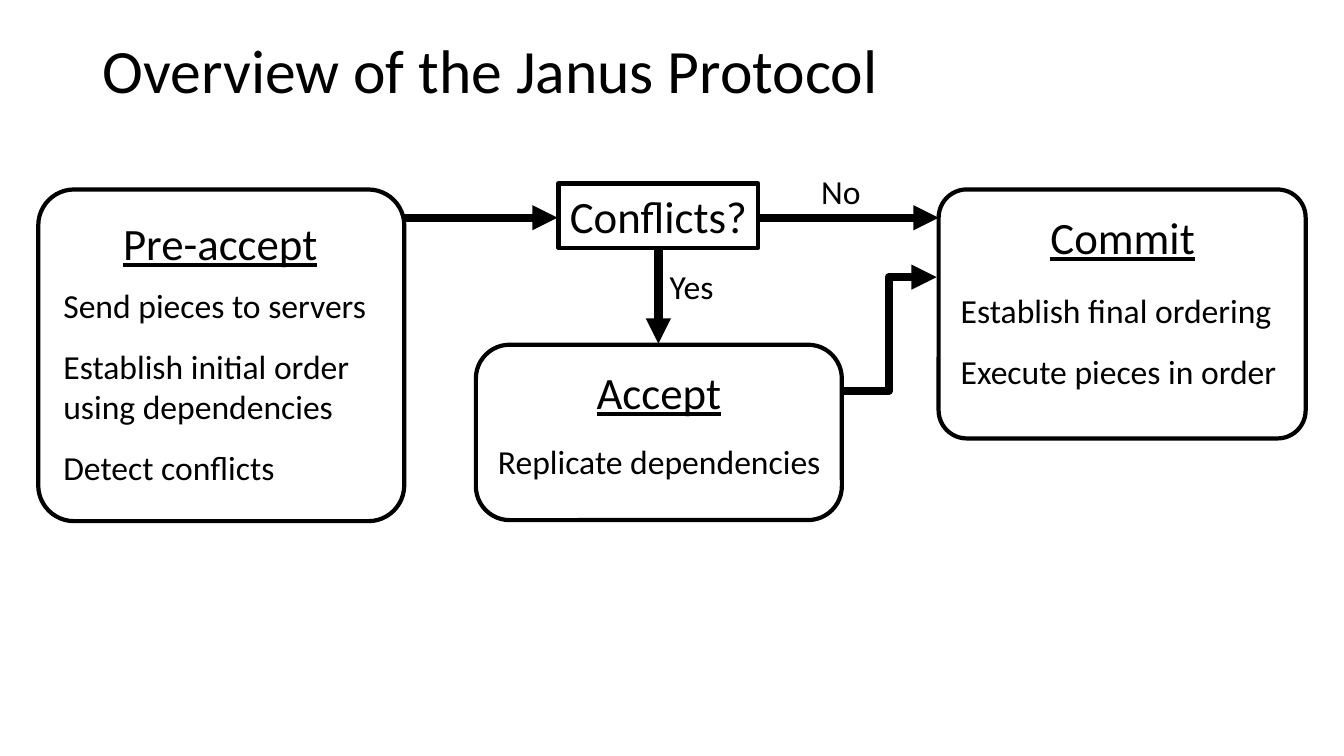
from lxml import etree
from pptx import Presentation
from pptx import util as u
from pptx.dml.color import RGBColor
from pptx.enum import shapes, text
from pptx.oxml.ns import qn


def rgb(value):
    return RGBColor.from_string(value)


class Diagram:
    font = "Calibri"
    ink = "000000"
    paper = "FFFFFF"
    body_size = 24
    heading_size = 32

    def __init__(self, slide):
        self.s = slide

    def set_text(self, sp, lines, size, align=text.PP_ALIGN.LEFT, wrap=True,
                 anchor=text.MSO_ANCHOR.TOP, gap=0, spacing=1.0, underline=False):
        tf = sp.text_frame
        tf.word_wrap = wrap
        tf.vertical_anchor = anchor
        tf.text = "\n".join(lines)
        for i, p in enumerate(tf.paragraphs):
            p.alignment = align
            p.line_spacing = spacing
            p.space_before = u.Pt(gap if i else 0)
            p.font.name = self.font
            p.font.size = u.Pt(size)
            p.font.color.rgb = rgb(self.ink)
            p.font.underline = underline

    def label(self, box, lines, size, **style):
        sp = self.s.shapes.add_textbox(*map(u.Inches, box))
        self.set_text(sp, lines, size, **style)

    def centred(self, box, words, size, underline=False):
        self.label(box, [words], size, align=text.PP_ALIGN.CENTER,
                   wrap=False, underline=underline)

    def frame(self, kind, box):
        sp = self.s.shapes.add_shape(kind, *map(u.Inches, box))
        sp.shadow.inherit = False
        sp.fill.solid()
        sp.fill.fore_color.rgb = rgb(self.paper)
        sp.line.color.rgb = rgb(self.ink)
        sp.line.width = u.Pt(3)
        return sp

    def phase(self, box, corner, heading, heading_box, steps, steps_box):
        sp = self.frame(shapes.MSO_SHAPE.ROUNDED_RECTANGLE, box)
        sp.adjustments[0] = corner
        self.label(steps_box, steps, self.body_size, gap=14.5)
        self.centred(heading_box, heading, self.heading_size, underline=True)

    def decision(self, box, words):
        sp = self.frame(shapes.MSO_SHAPE.RECTANGLE, box)
        self.set_text(sp, [words], self.heading_size, wrap=False,
                      align=text.PP_ALIGN.CENTER, anchor=text.MSO_ANCHOR.MIDDLE)

    def arrow(self, start, end, kind=shapes.MSO_CONNECTOR.STRAIGHT):
        cx = self.s.shapes.add_connector(kind, *map(u.Inches, start + end))
        cx.line.color.rgb = rgb(self.ink)
        cx.line.width = u.Pt(6)
        sp_pr = cx._element.spPr
        etree.SubElement(sp_pr.find(qn("a:ln")), qn("a:tailEnd"), type="triangle")
        etree.SubElement(sp_pr, qn("a:effectLst"))


prs = Presentation()
prs.slide_width = u.Inches(13.33)
prs.slide_height = u.Inches(7.5)
d = Diagram(prs.slides.add_slide(prs.slide_layouts[6]))

d.label((0.92, 0, 11.5, 1.45), ["Overview of the Janus Protocol"], 44,
        anchor=text.MSO_ANCHOR.MIDDLE, spacing=0.9)

d.phase((0.38, 1.88, 3.63, 3.29), 0.108,
        "Pre-accept", (1.09, 2.09, 2.19, 0.64),
        ["Send pieces to servers",
         "Establish initial order using dependencies",
         "Detect conflicts"], (0.53, 2.78, 3.48, 2.12))
d.phase((9.31, 1.88, 3.64, 2.47), 0.113,
        "Commit", (10.31, 2.03, 1.65, 0.64),
        ["Establish final ordering", "Execute pieces in order"],
        (9.43, 2.83, 3.52, 1.16))
d.phase((4.72, 3.42, 3.63, 1.74), 0.193,
        "Accept", (5.81, 3.57, 1.45, 0.64),
        ["Replicate dependencies"], (4.84, 4.33, 3.51, 0.5))

d.arrow((4, 2.16), (5.53, 2.16))
d.decision((5.54, 1.82, 1.98, 0.64), "Conflicts?")
d.arrow((7.52, 2.16), (9.31, 2.16))
d.centred((8.04, 1.65, 0.6, 0.5), "No", d.body_size)
d.arrow((6.53, 2.45), (6.53, 3.41))
d.centred((6.54, 2.59, 0.64, 0.5), "Yes", d.body_size)
d.arrow((8.34, 3.88), (9.29, 2.75), shapes.MSO_CONNECTOR.ELBOW)

prs.save("out.pptx")
